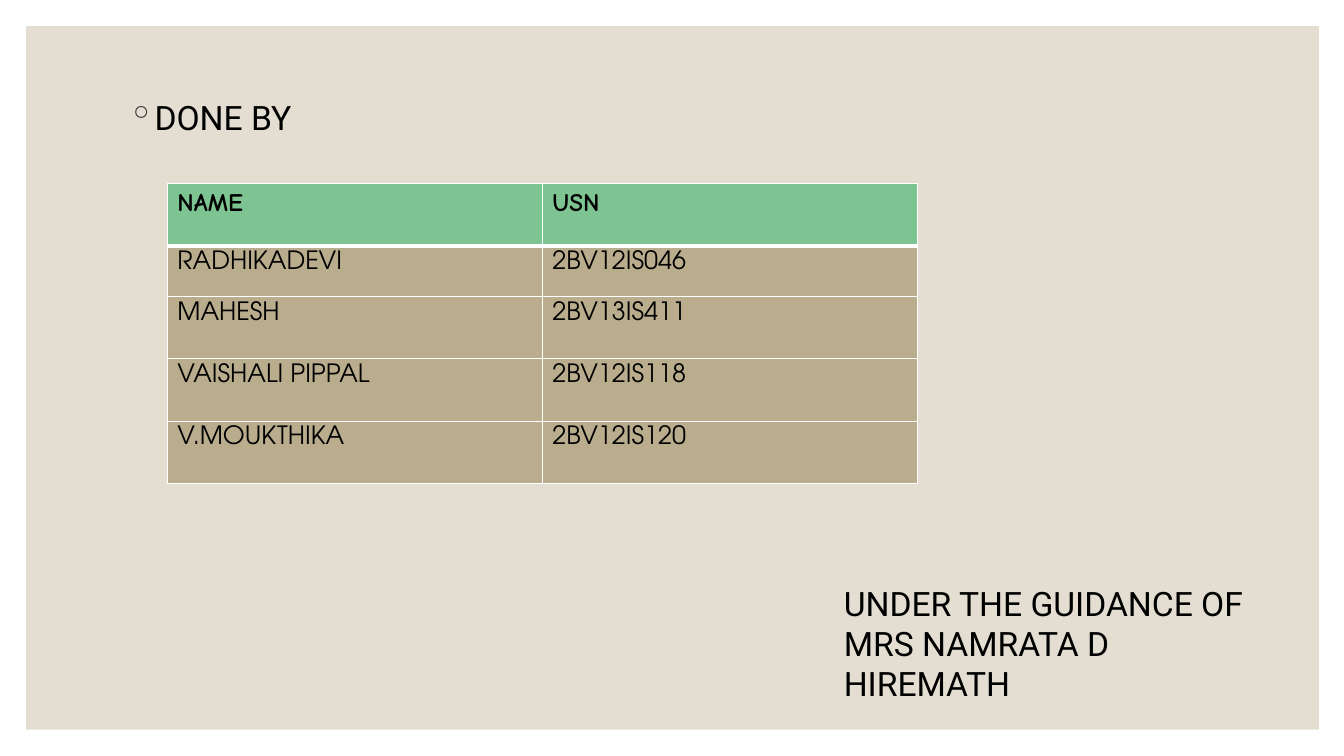
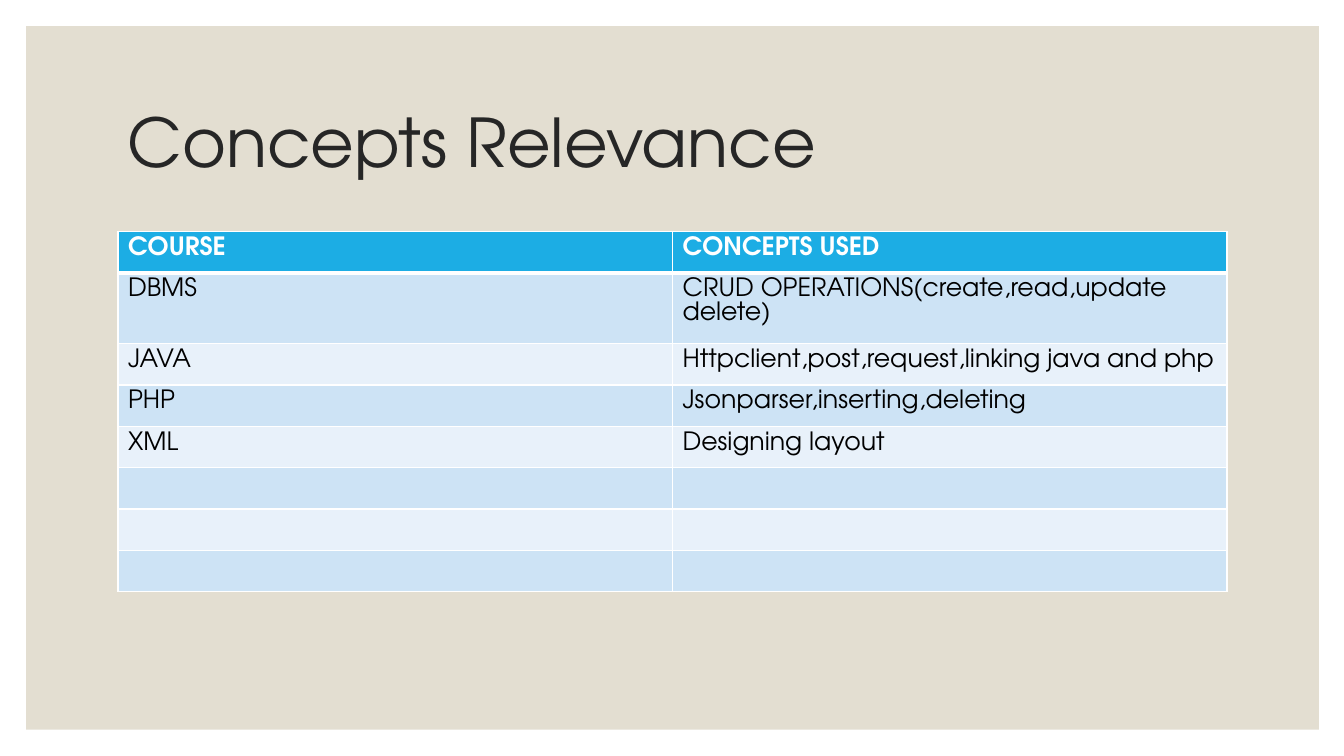
from dataclasses import dataclass

from lxml.etree import SubElement
from pptx import Presentation
from pptx.dml.color import RGBColor
from pptx.enum.shapes import MSO_SHAPE
from pptx.enum.text import MSO_ANCHOR
from pptx.oxml.ns import qn
from pptx.util import Inches, Pt


@dataclass(frozen=True)
class Theme:
    panel: str = "E3DED1"
    rule: str = "FFFFFF"
    ink: str = "000000"
    title_ink: str = "262626"
    title_font: str = "TeX Gyre Adventor"
    body_font: str = "Roboto"
    title_size: int = 48
    body_size: int = 24
    table_size: int = 18
    rule_width: float = 1
    header_rule_width: float = 3


@dataclass(frozen=True)
class TableStyle:
    header_fill: str
    header_ink: str
    header_font: str
    bands: tuple


THEME = Theme()
TEAM_STYLE = TableStyle("7EC492", THEME.ink, "Comic Neue", ("BAAD8D",))
COURSE_STYLE = TableStyle("1CADE4", "FFFFFF", THEME.title_font, ("CDE3F5", "E8F1FA"))

TEAM = [
    ("NAME", "USN"),
    ("RADHIKADEVI", "2BV12IS046"),
    ("MAHESH", "2BV13IS411"),
    ("VAISHALI PIPPAL", "2BV12IS118"),
    ("V.MOUKTHIKA", "2BV12IS120"),
]
COURSES = [
    ("COURSE", "CONCEPTS USED"),
    ("DBMS", "CRUD OPERATIONS(create,read,update delete)"),
    ("JAVA", "Httpclient,post,request,linking java and php"),
    ("PHP", "Jsonparser,inserting,deleting"),
    ("XML", "Designing layout"),
] + [("", "")] * 3


def inches(box):
    return [Inches(length) for length in box]


def style_runs(paragraph, font, size, color, bold=False):
    for run in paragraph.runs:
        run.font.name = font
        run.font.size = Pt(size)
        run.font.bold = bold
        run.font.color.rgb = RGBColor.from_string(color)


def add_panel_slide(prs):
    slide = prs.slides.add_slide(prs.slide_layouts[6])
    panel = slide.shapes.add_shape(MSO_SHAPE.RECTANGLE, *inches((0.26, 0.26, 12.82, 6.98)))
    panel.shadow.inherit = False
    panel.fill.solid()
    panel.fill.fore_color.rgb = RGBColor.from_string(THEME.panel)
    panel.line.fill.background()
    return slide


def add_text(slide, box, text, font, size, color):
    frame = slide.shapes.add_textbox(*inches(box)).text_frame
    frame.word_wrap = True
    frame.text = text
    for paragraph in frame.paragraphs:
        style_runs(paragraph, font, size, color)
    return frame


def add_title(slide, box, text):
    frame = add_text(slide, box, text, THEME.title_font, THEME.title_size, THEME.title_ink)
    frame.vertical_anchor = MSO_ANCHOR.MIDDLE
    frame.paragraphs[0].line_spacing = 0.9


def add_bullet(slide, box, text):
    frame = add_text(slide, box, text, THEME.body_font, THEME.body_size, THEME.ink)
    paragraph = frame.paragraphs[0]
    paragraph.space_before = Pt(9)
    props = paragraph._p.get_or_add_pPr()
    props.set("marL", str(Inches(0.2)))
    props.set("indent", str(Inches(-0.2)))
    bullet_color = SubElement(props, qn("a:buClr"))
    SubElement(bullet_color, qn("a:srgbClr"), val=THEME.title_ink)
    SubElement(props, qn("a:buChar"), char="◦")


def set_borders(cell, top, bottom):
    props = cell._tc.get_or_add_tcPr()
    widths = {"lnL": THEME.rule_width, "lnR": THEME.rule_width, "lnT": top, "lnB": bottom}
    for side, width in widths.items():
        border = SubElement(props, qn("a:" + side), w=str(Pt(width)))
        fill = SubElement(border, qn("a:solidFill"))
        SubElement(fill, qn("a:srgbClr"), val=THEME.rule)


def add_grid(slide, box, entries, row_heights, style):
    table = slide.shapes.add_table(len(entries), len(entries[0]), *inches(box)).table
    for row, height in zip(table.rows, row_heights):
        row.height = Inches(height)
    for r, values in enumerate(entries):
        header = r == 0
        fill = style.header_fill if header else style.bands[(r - 1) % len(style.bands)]
        font = style.header_font if header else THEME.title_font
        ink = style.header_ink if header else THEME.ink
        top = THEME.header_rule_width if r == 1 else THEME.rule_width
        bottom = THEME.header_rule_width if header else THEME.rule_width
        for c, value in enumerate(values):
            cell = table.cell(r, c)
            set_borders(cell, top, bottom)
            cell.fill.solid()
            cell.fill.fore_color.rgb = RGBColor.from_string(fill)
            if value:
                cell.text_frame.text = value
                style_runs(cell.text_frame.paragraphs[0], font, THEME.table_size, ink, header)


def build_team_slide(prs):
    slide = add_panel_slide(prs)
    add_bullet(slide, (1.17, 0.91, 11, 5.69), "DONE BY")
    add_grid(slide, (1.66, 1.82, 7.44, 2.98), TEAM, [0.62, 0.5] + [0.62] * 3, TEAM_STYLE)
    add_text(slide, (8.27, 5.73, 4.48, 0.91),
             "UNDER THE GUIDANCE OF\nMRS NAMRATA D HIREMATH",
             THEME.body_font, THEME.body_size, THEME.ink)


def build_concepts_slide(prs):
    slide = add_panel_slide(prs)
    add_title(slide, (1.17, 0.7, 11, 1.5), "Concepts Relevance")
    heights = [0.41] * len(COURSES)
    add_grid(slide, (1.17, 2.3, 11, sum(heights)), COURSES, heights, COURSE_STYLE)


def main():
    prs = Presentation()
    prs.slide_width = Inches(13.33)
    prs.slide_height = Inches(7.5)
    build_team_slide(prs)
    build_concepts_slide(prs)
    prs.save("out.pptx")


if __name__ == "__main__":
    main()
